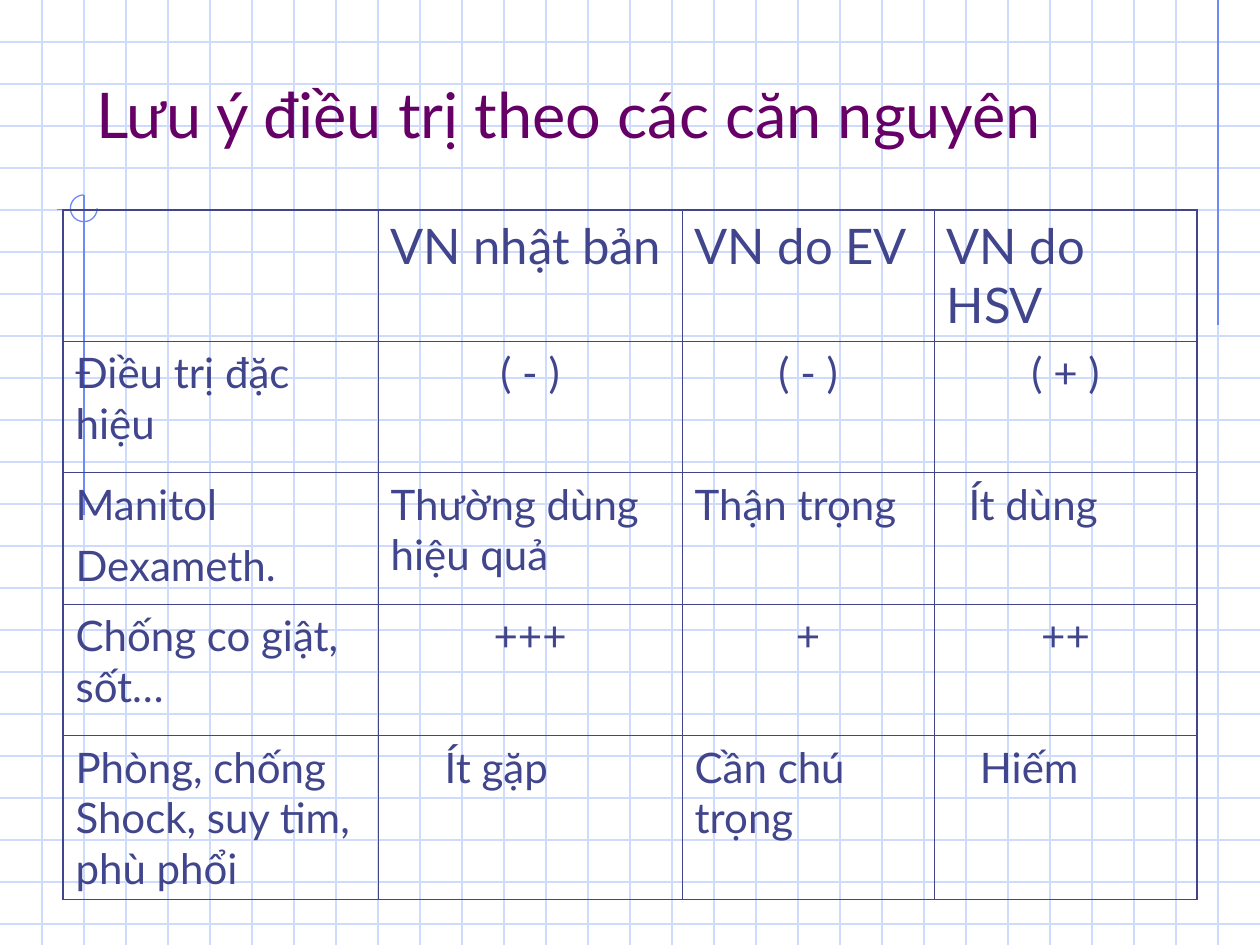
import pptx
import pptx.dml.color
import pptx.enum.shapes
import pptx.enum.text
import pptx.oxml.xmlchemy
import pptx.util

Cm, Pt = pptx.util.Cm, pptx.util.Pt
RGBColor = pptx.dml.color.RGBColor
PP_ALIGN = pptx.enum.text.PP_ALIGN
OxmlElement = pptx.oxml.xmlchemy.OxmlElement

GRID = RGBColor(0xCF, 0xDB, 0xFD)
ACCENT = RGBColor(0x6F, 0x89, 0xF7)
PLUM = RGBColor(0x66, 0x00, 0x66)
NAVY = RGBColor(0x40, 0x45, 0x8C)

W, H = 25.4, 19.05
STEP = 2.54 / 3  # grid spacing in cm
FONT = "Lato"
INNER, OUTER = 0.45, 1.08  # table rules in points

COLS = [6.35, 6.13, 5.08, 5.3]
ROWS = [2.65, 2.65, 2.65, 2.65, 3.3]
CELLS = [
    ["", "VN nhật bản", "VN do EV", "VN do HSV"],
    ["Điều trị đặc hiệu", "( - )", "( - )", "( + )"],
    ["Manitol\nDexameth.", "Thường dùng hiệu quả", "Thận trọng", "Ít dùng"],
    ["Chống co giật, sốt…", "+++", "+", "++"],
    ["Phòng, chống Shock, suy tim, phù phổi", "Ít gặp", "Cần chú trọng", "Hiếm"],
]
CENTRED_ROWS = (1, 3)
INDENTS = {(2, 3): 0.44, (4, 1): 1.09, (4, 3): 0.67}  # (row, column): cm


def set_format(obj, values):
    for name, value in values.items():
        setattr(obj, name, value)


def style_run(r, size, color):
    set_format(r.font, {"name": FONT, "size": Pt(size), "bold": False})
    r.font.color.rgb = color


def add_line(shapes, x1, y1, x2, y2, color):
    s = shapes.add_connector(pptx.enum.shapes.MSO_CONNECTOR.STRAIGHT,
                             Cm(x1), Cm(y1), Cm(x2), Cm(y2))
    s.line.color.rgb = color
    s.line.width = Pt(0.75)
    s._element.spPr.append(OxmlElement("a:effectLst"))


def add_grid(slide, x, y, w, h):
    shapes = slide.shapes.add_group_shape().shapes
    for i in range(1, int(h / STEP) + 1):
        add_line(shapes, x, y + i * STEP, x + w, y + i * STEP, GRID)
    for i in range(1, int((w - 0.01) / STEP) + 1):
        add_line(shapes, x + i * STEP, y, x + i * STEP, y + h, GRID)


def add_accents(slide, x, y, w):
    shapes = slide.shapes.add_group_shape().shapes
    add_line(shapes, x + w - STEP, y, x + w - STEP, y + 6.55, ACCENT)
    add_line(shapes, x + 6.1, y + 4.22, x + 1.14, y + 4.22, ACCENT)
    add_line(shapes, x + 2 * STEP, y + 3.94, x + 2 * STEP, y + 10.39, ACCENT)
    # Three-quarter ring, open at the upper right
    s = shapes.add_shape(pptx.enum.shapes.MSO_SHAPE.ARC,
                         Cm(x + 1.42), Cm(y + 3.93), Cm(0.54), Cm(0.54))
    s.adjustments[0] = 0
    s.adjustments[1] = 162  # 270 degrees
    s.shadow.inherit = False
    s.fill.background()
    s.line.color.rgb = ACCENT
    s.line.width = Pt(0.75)


def add_title(slide, x, y, w, h):
    tf = slide.shapes.add_textbox(Cm(x), Cm(y), Cm(w), Cm(h)).text_frame
    set_format(tf, {"word_wrap": True,
                    "vertical_anchor": pptx.enum.text.MSO_ANCHOR.BOTTOM})
    r = tf.paragraphs[0].add_run()
    r.text = "Lưu ý điều trị theo các căn nguyên"
    style_run(r, 36, PLUM)


def set_borders(cell, widths):
    tcPr = cell._tc.get_or_add_tcPr()
    for i, (side, width) in enumerate(widths.items()):
        ln = OxmlElement("a:ln" + side)
        ln.set("w", str(int(Pt(width))))
        fill = OxmlElement("a:solidFill")
        clr = OxmlElement("a:srgbClr")
        clr.set("val", str(NAVY))
        fill.append(clr)
        ln.append(fill)
        tcPr.insert(i, ln)


def fill_cell(cell, text, row, col):
    cell.fill.background()
    cell.text = text
    for p in cell.text_frame.paragraphs:
        p.space_before = Pt(6 if row else 7)
        if row in CENTRED_ROWS and col:
            p.alignment = PP_ALIGN.CENTER
        if (row, col) in INDENTS:
            p._p.get_or_add_pPr().set("marL", str(int(Cm(INDENTS[row, col]))))
        for r in p.runs:
            style_run(r, 24 if row else 28, NAVY)
    set_borders(cell, {
        "L": INNER if col else OUTER,
        "R": OUTER if col == len(COLS) - 1 else INNER,
        "T": INNER if row else OUTER,
        "B": OUTER if row == len(ROWS) - 1 else INNER,
    })


def add_treatment_table(slide, x, y):
    table = slide.shapes.add_table(len(ROWS), len(COLS), Cm(x), Cm(y),
                                   Cm(sum(COLS)), Cm(sum(ROWS))).table
    set_format(table, {"first_row": False, "horz_banding": False})
    for column, width in zip(table.columns, COLS):
        column.width = Cm(width)
    for i, (height, texts) in enumerate(zip(ROWS, CELLS)):
        table.rows[i].height = Cm(height)
        for j, text in enumerate(texts):
            fill_cell(table.cell(i, j), text, i, j)


def main():
    prs = pptx.Presentation()
    set_format(prs, {"slide_width": Cm(W), "slide_height": Cm(H)})
    slide = prs.slides.add_slide(prs.slide_layouts[6])
    # Squared-paper backdrop
    add_grid(slide, 0, 0, W, H)
    add_accents(slide, 0, 0, W)
    # Content
    add_title(slide, 1.69, 0.42, 21.59, 2.75)
    add_treatment_table(slide, 1.27, 4.23)
    prs.save("out.pptx")


if __name__ == "__main__":
    main()
